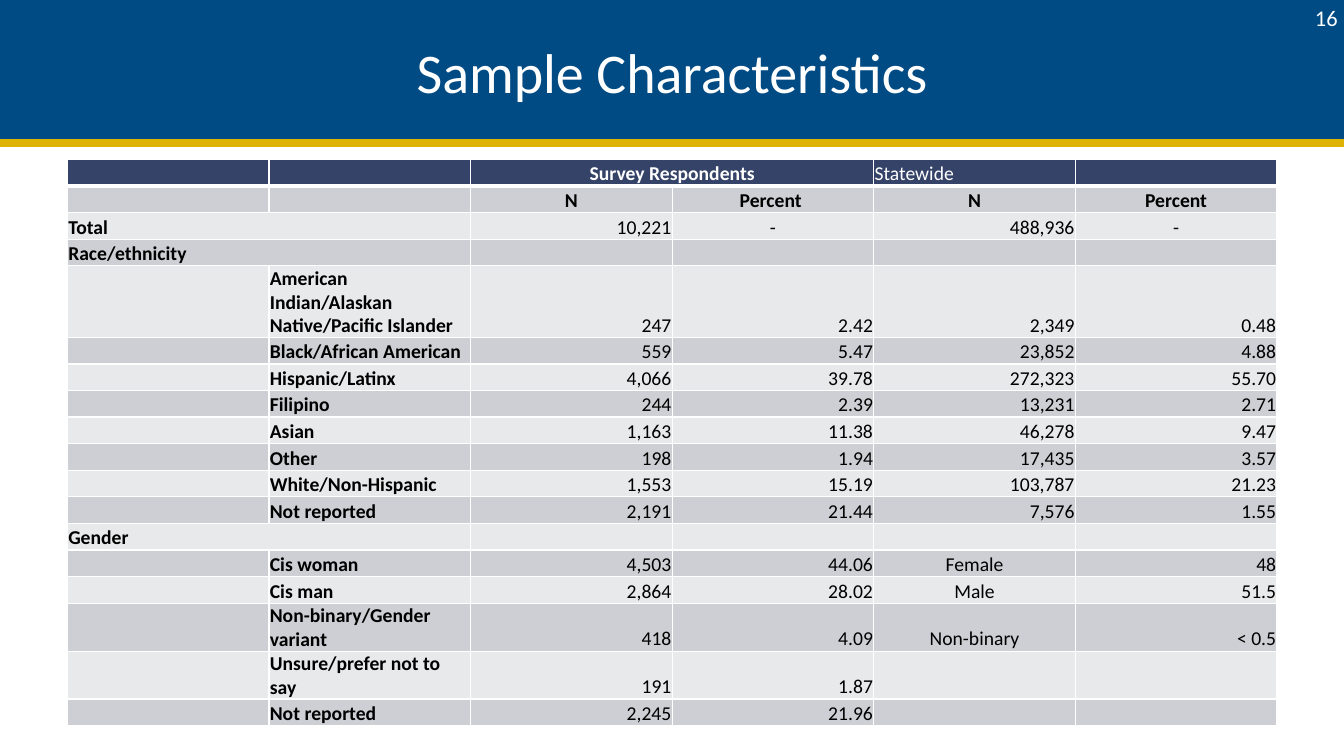
from dataclasses import dataclass

from lxml import etree
from pptx import Presentation
from pptx.dml.color import RGBColor
from pptx.enum import shapes, text
from pptx.oxml import ns
from pptx.util import Cm, Pt


@dataclass(frozen=True)
class Theme:
    """Hold the colours, font and type sizes of the slide."""
    font: str = "Calibri"
    blue: str = "014B84"
    gold: str = "DFB305"
    head: str = "354369"
    dark: str = "CECFD4"
    pale: str = "E8E9EB"
    white: str = "FFFFFF"
    black: str = "000000"
    title: int = 40
    page: int = 16
    body: int = 14


THEME = Theme()
ALIGN = text.PP_ALIGN
ANCHOR = text.MSO_ANCHOR
ROWS = [
    ("", "", "Survey Respondents", "", "Statewide", ""),
    ("", "", "N", "Percent ", "N", "Percent"),
    ("Total", "", "10,221", "-", "488,936", "-"),
    ("Race/ethnicity", "", "", "", "", ""),
    ("", "American Indian/Alaskan Native/Pacific Islander", "247", "2.42", "2,349", "0.48"),
    ("", "Black/African American", "559", "5.47", "23,852", "4.88"),
    ("", "Hispanic/Latinx", "4,066", "39.78", "272,323", "55.70"),
    ("", "Filipino", "244", "2.39", "13,231", "2.71"),
    ("", "Asian", "1,163", "11.38", "46,278", "9.47"),
    ("", "Other", "198", "1.94", "17,435", "3.57"),
    ("", "White/Non-Hispanic", "1,553", "15.19", "103,787", "21.23"),
    ("", "Not reported", "2,191", "21.44", "7,576", "1.55"),
    ("Gender", "", "", "", "", ""),
    ("", "Cis woman", "4,503", "44.06", "Female", "48"),
    ("", "Cis man", "2,864", "28.02", "Male", "51.5"),
    ("", "Non-binary/Gender variant", "418", "4.09", "Non-binary", "< 0.5"),
    ("", "Unsure/prefer not to say", "191", "1.87", "", ""),
    ("", "Not reported", "2,245", "21.96", "", ""),
]
ROW_HIGH = 0.67
TALL = {4: 1.63, 15: 1.09, 16: 1.09}


def rgb(code):
    """Turn a hex code into a colour."""
    return RGBColor.from_string(code)


def write(frame, words, *, size, color, align, bold=False):
    """Write one formatted paragraph into a text frame."""
    line = frame.paragraphs[0]
    line.alignment = align
    if not words:
        line._p.get_or_add_endParaRPr().set("sz", str(size * 100))
        return
    run = line.add_run()
    run.text = words
    font = run.font
    font.name, font.size, font.bold = THEME.font, Pt(size), bold
    font.color.rgb = rgb(color)


def add_band(slide):
    """Draw the blue band and the gold rule beneath it."""
    band = slide.shapes.add_shape(
        shapes.MSO_SHAPE.RECTANGLE, Cm(-0.08), 0, Cm(34.04), Cm(3.6))
    band.shadow.inherit = False
    band.fill.solid()
    band.fill.fore_color.rgb = band.line.color.rgb = rgb(THEME.blue)
    band.line.width = Pt(2)
    rule = slide.shapes.add_connector(
        shapes.MSO_CONNECTOR.STRAIGHT, Cm(-0.2), Cm(3.61), Cm(34.06), Cm(3.61))
    rule.line.color.rgb = rgb(THEME.gold)
    rule.line.width = Pt(6)
    etree.SubElement(rule._element.spPr, ns.qn("a:effectLst"))


def add_title(slide, words):
    """Place the title in its placeholder above the band."""
    title = slide.shapes.title
    slide.shapes._spTree.append(title._element)
    title.left, title.top, title.width, title.height = Cm(1.7), Cm(0.2), Cm(30.48), Cm(3.18)
    title.text_frame.vertical_anchor = ANCHOR.MIDDLE
    write(title.text_frame, words, size=THEME.title, color=THEME.white, align=ALIGN.CENTER)


def add_page(slide, words):
    """Place the page number in the top right corner."""
    frame = slide.shapes.add_textbox(Cm(32.39), 0, Cm(1.57), Cm(0.89)).text_frame
    frame.word_wrap = True
    frame.vertical_anchor = ANCHOR.MIDDLE
    write(frame, words, size=THEME.page, color=THEME.white, align=ALIGN.RIGHT)


def edge(cell, row):
    """Draw white cell borders, thick below the header row."""
    props = cell._tc.get_or_add_tcPr()
    for at, side in enumerate("LRTB"):
        thick = (row, side) in ((0, "B"), (1, "T"))
        line = etree.Element(ns.qn(f"a:ln{side}"), w=str(Pt(3 if thick else 1)))
        fill = etree.SubElement(line, ns.qn("a:solidFill"))
        etree.SubElement(fill, ns.qn("a:srgbClr"), val=THEME.white)
        props.insert(at, line)


def side(words, row, col):
    """Choose the alignment of a table cell."""
    if col < 2 or (row, col) == (0, 4):
        return ALIGN.LEFT
    return ALIGN.RIGHT if any(map(str.isdigit, words)) else ALIGN.CENTER


def fill_cell(cell, words, row, col):
    """Format and write one table cell."""
    cell.fill.solid()
    shade = THEME.dark if row % 2 else THEME.pale
    cell.fill.fore_color.rgb = rgb(shade if row else THEME.head)
    cell.margin_left = cell.margin_right = cell.margin_top = Cm(0.02)
    cell.margin_bottom = 0
    cell.vertical_anchor = ANCHOR.BOTTOM
    edge(cell, row)
    write(cell.text_frame, words, size=THEME.body,
          color=THEME.black if row else THEME.white,
          align=side(words, row, col),
          bold=(col < 2 or row < 2) and (row, col) != (0, 4))


def add_grid(slide):
    """Build the table of respondents and statewide figures."""
    highs = [TALL.get(row, ROW_HIGH) for row in range(len(ROWS))]
    grid = slide.shapes.add_table(
        len(ROWS), len(ROWS[0]), Cm(1.7), Cm(4.02), Cm(30.48), Cm(sum(highs))).table
    for row, words in enumerate(ROWS):
        grid.rows[row].height = Cm(highs[row])
        for col, word in enumerate(words):
            fill_cell(grid.cell(row, col), word, row, col)
        if words[0]:
            grid.cell(row, 0).merge(grid.cell(row, 1))
    grid.cell(0, 2).merge(grid.cell(0, 3))


def main():
    """Build and save the slide."""
    deck = Presentation()
    deck.slide_width, deck.slide_height = Cm(33.87), Cm(19.05)
    slide = deck.slides.add_slide(deck.slide_layouts[5])
    add_band(slide)
    add_title(slide, "Sample Characteristics")
    add_page(slide, "16")
    add_grid(slide)
    deck.save("out.pptx")


if __name__ == "__main__":
    main()
